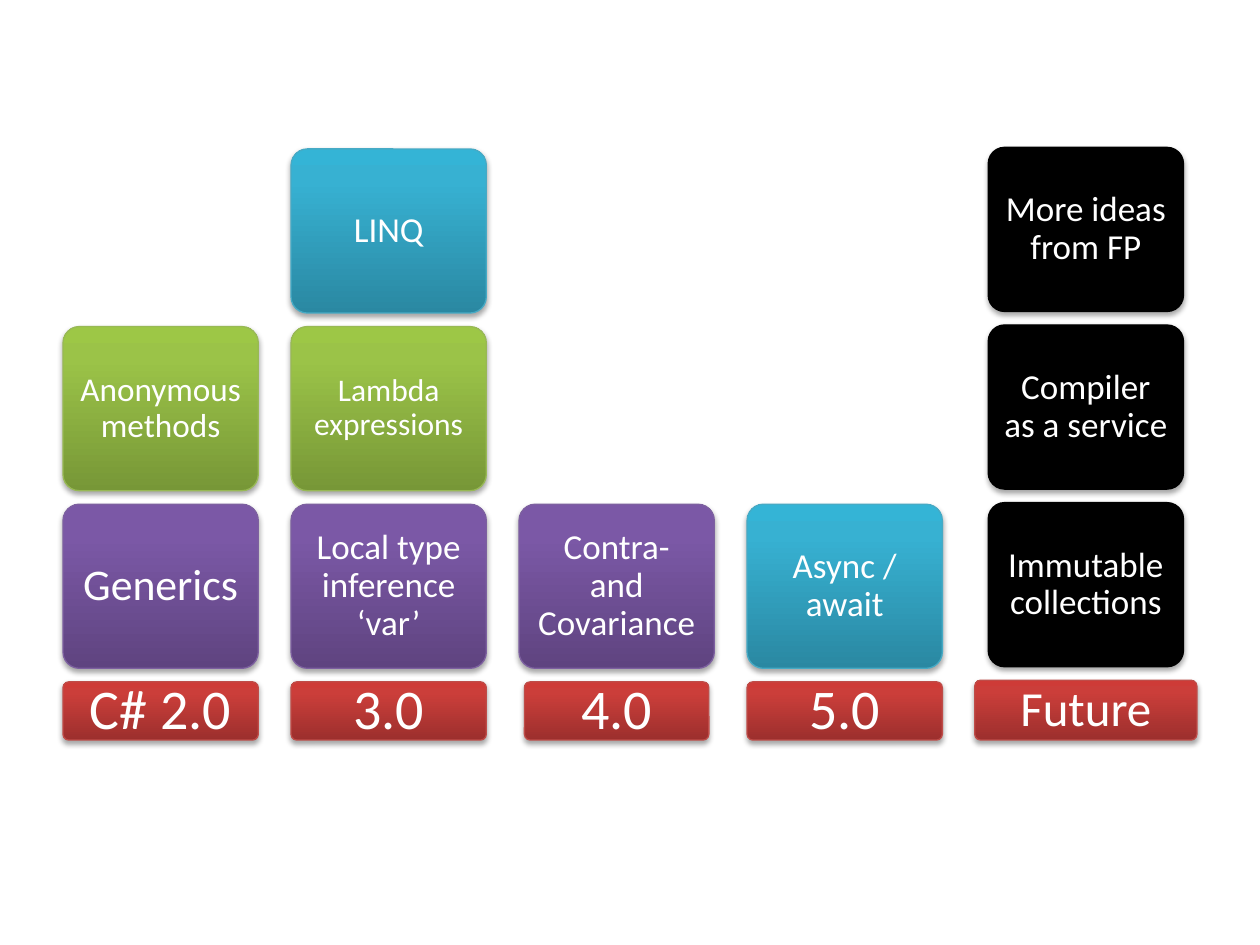
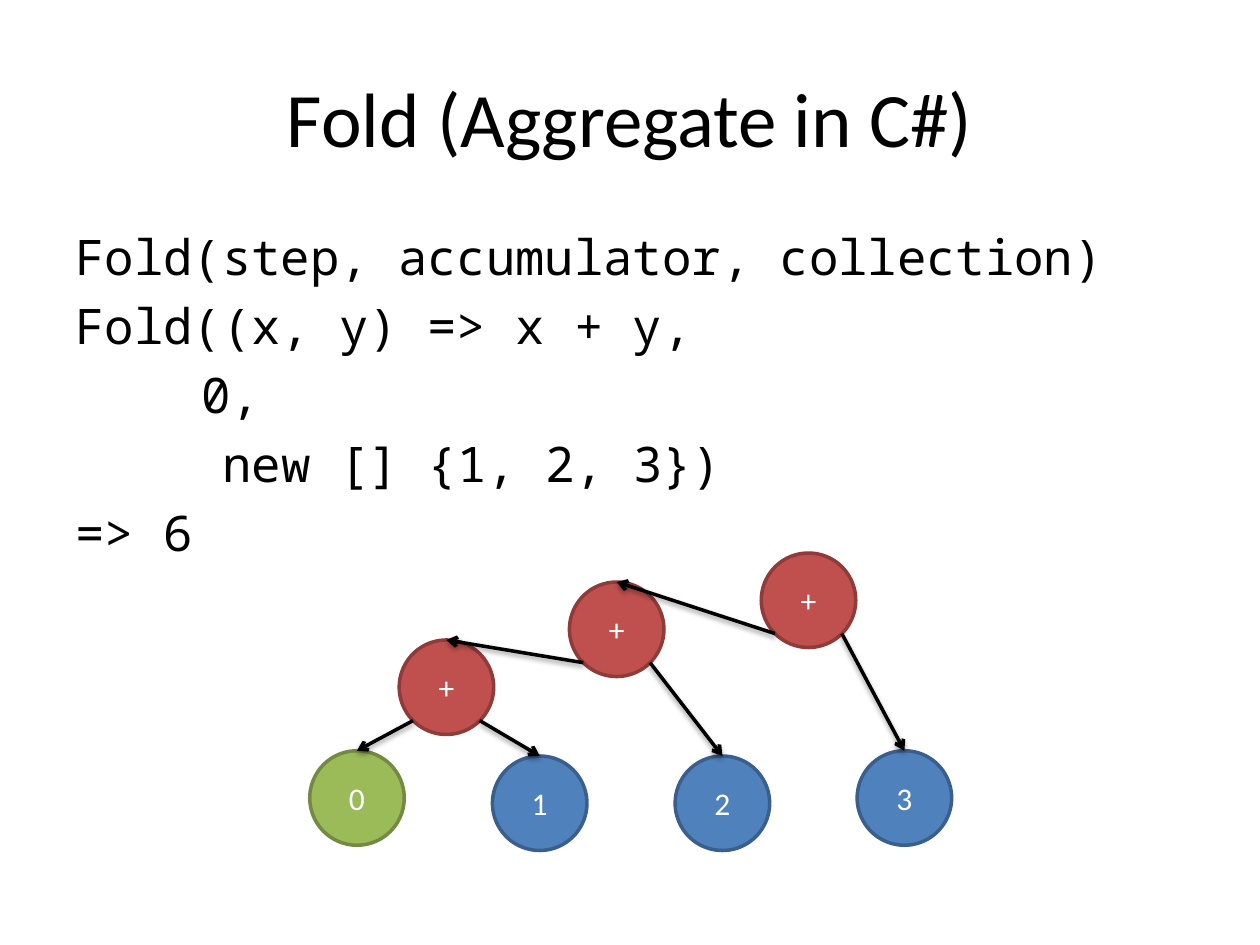
from copy import deepcopy
from math import sqrt

from lxml import etree
from pptx import Presentation
from pptx.dml.color import RGBColor
from pptx.enum.shapes import MSO_CONNECTOR, MSO_SHAPE
from pptx.enum.text import MSO_ANCHOR, PP_ALIGN
from pptx.oxml.ns import qn
from pptx.util import Pt

ROUNDED, OVAL = MSO_SHAPE.ROUNDED_RECTANGLE, MSO_SHAPE.OVAL
STRAIGHT = MSO_CONNECTOR.STRAIGHT
MIDDLE, CENTER, LEFT = MSO_ANCHOR.MIDDLE, PP_ALIGN.CENTER, PP_ALIGN.LEFT
TITLE_ONLY, BLANK = 5, 6
FONT, CODE_FONT = "Calibri", "Noto Sans Mono"

COLORS = {
    "white": "FFFFFF", "black": "000000",
    "blue": "4F81BD", "blue_line": "3A5F8C",
    "green": "9BBB59", "green_line": "738A42",
    "red": "C0504D", "red_line": "8E3B39",
}
# Tile shades: bottom, upper and top of the gradient, then the outline
SHADES = {
    "version": ("9C2F2D", "CB3E3A", "CE3B37", "BF4C48"),
    "types": ("5F4480", "7B58A6", "7C57A8", "7D60A0"),
    "functions": ("779737", "9BC348", "9DC746", "98B955"),
    "queries": ("2A88A2", "37B1D2", "34B4D6", "46AAC5"),
    "future": ("000000", "000000", "000000", "000000"),
}

TILE_W, TILE_H, TILE_PITCH = 111.6, 93.8, 101.5
CORNER = 0.1
NODE = 54


def rgb(hex_color):
    return RGBColor.from_string(hex_color)


def style_text(paragraph, size, color="white", font=FONT, align=CENTER):
    paragraph.alignment = align
    paragraph.font.size = Pt(size)
    paragraph.font.name = font
    paragraph.font.color.rgb = rgb(COLORS[color])


def add_shadow(shape, alpha, blur, distance):
    """Soft black shadow straight below the shape."""
    properties = shape._element.spPr
    for old in properties.findall(qn("a:effectLst")):
        properties.remove(old)
    effects = etree.SubElement(properties, qn("a:effectLst"))
    shadow = etree.SubElement(
        effects, qn("a:outerShdw"), blurRad=str(Pt(blur)),
        dist=str(Pt(distance)), dir="5400000", rotWithShape="0")
    black = etree.SubElement(shadow, qn("a:srgbClr"), val=COLORS["black"])
    etree.SubElement(black, qn("a:alpha"), val=str(alpha * 1000))


def fill_gradient(shape, shades):
    shape.fill.gradient()
    shape.fill.gradient_angle = 90
    stop_list = shape._element.spPr.find(".//" + qn("a:gsLst"))
    stop_list.append(deepcopy(stop_list[-1]))
    for stop, position, shade in zip(shape.fill.gradient_stops, (0, 0.8, 1), shades):
        stop.position = position
        stop.color.rgb = rgb(shade)


# Slide 1: language versions as stacks of features

def add_tile(slide, box, text, size, shade, inset):
    tile = slide.shapes.add_shape(ROUNDED, *map(Pt, box))
    tile.adjustments[0] = CORNER
    *shades, outline = SHADES[shade]
    if shade == "future":
        tile.fill.solid()
        tile.fill.fore_color.rgb = rgb(shades[0])
    else:
        fill_gradient(tile, shades)
    tile.line.color.rgb = rgb(outline)
    tile.line.width = Pt(0.75)
    add_shadow(tile, 35, 3.1, 1.8)

    frame = tile.text_frame
    frame.word_wrap = True
    frame.vertical_anchor = MIDDLE
    # The rounded corners already narrow the text area
    side = inset - 0.29 * CORNER * box[3]
    frame.margin_left = frame.margin_right = Pt(side)
    frame.margin_top = frame.margin_bottom = 0
    label = frame.paragraphs[0]
    label.text = text
    label.line_spacing = 0.9
    style_text(label, size)


def add_version(slide, center, base, version, features):
    """Stack features upwards from a version label; base is (top, width, height, size)."""
    top, width, height, size = base
    add_tile(slide, (center - width / 2, top, width, height), version, size, "version", 10)
    for level, (text, feature_size, shade) in enumerate(features):
        tile_top = top - TILE_PITCH * (level + 1)
        add_tile(slide, (center - TILE_W / 2, tile_top, TILE_W, TILE_H),
                 text, feature_size, shade, 0.44 * feature_size)


def build_versions(prs):
    slide = prs.slides.add_slide(prs.slide_layouts[BLANK])
    label = (389.6, TILE_W, 33.3, 32)
    narrow_label = (389.6, 105.4, 33.3, 32)
    versions = [
        ("C# 2.0", label, [("Generics", 25, "types"),
                           ("Anonymous methods", 19, "functions")]),
        ("3.0", label, [("Local type inference\n‘var’", 20, "types"),
                        ("Lambda expressions", 18, "functions"),
                        ("LINQ", 20, "queries")]),
        ("4.0", narrow_label, [("Contra- and Covariance ", 20, "types")]),
        ("5.0", label, [("Async / await", 20, "queries")]),
    ]
    for column, (version, base, features) in enumerate(versions):
        add_version(slide, 91.8 + 130.3 * column, base, version, features)

    ideas = ("Immutable collections", "Compiler as a service", "More ideas from FP")
    add_version(slide, 620.5, (388.7, 127, 34.2, 28), "Future",
                [(idea, 20, "future") for idea in ideas])


# Slide 2: a fold as code and as a tree

def set_title(slide, box, text):
    title = slide.shapes.title
    title.left, title.top, title.width, title.height = map(Pt, box)
    title.text_frame.vertical_anchor = MIDDLE
    title.text_frame.text = text
    style_text(title.text_frame.paragraphs[0], 44, "black")


def add_code(slide, box, lines):
    frame = slide.shapes.add_textbox(*map(Pt, box)).text_frame
    frame.word_wrap = True
    for number, (text, indent) in enumerate(lines):
        line = frame.paragraphs[0] if number == 0 else frame.add_paragraph()
        line.text = text
        style_text(line, 28, "black", CODE_FONT, LEFT)
        line.line_spacing = Pt(33.7)
        line.space_before = Pt(5.6)
        line._p.get_or_add_pPr().set("marL", str(Pt(indent)))


def add_node(slide, left, top, text, color):
    node = slide.shapes.add_shape(OVAL, Pt(left), Pt(top), Pt(NODE), Pt(NODE))
    node.shadow.inherit = False
    node.fill.solid()
    node.fill.fore_color.rgb = rgb(COLORS[color])
    node.line.color.rgb = rgb(COLORS[color + "_line"])
    node.line.width = Pt(2)
    node.text_frame.vertical_anchor = MIDDLE
    node.text_frame.text = text
    style_text(node.text_frame.paragraphs[0], 18)
    return node


def add_branch(slide, parent, child, side):
    """Arrow from the lower left (-1) or right (1) of parent to the top of child."""
    radius = parent.width / 2
    reach = radius / sqrt(2)
    start_x = int(parent.left + radius + side * reach)
    start_y = int(parent.top + radius + reach)
    branch = slide.shapes.add_connector(STRAIGHT, start_x, start_y, child.left, child.top)
    branch.end_connect(child, 0)
    branch.line.color.rgb = rgb(COLORS["black"])
    branch.line.width = Pt(2)
    etree.SubElement(branch.line._get_or_add_ln(), qn("a:tailEnd"), type="arrow")
    add_shadow(branch, 38, 3.1, 1.6)


def add_fold_tree(slide, left, top):
    """Each sum takes the result so far on its left and the next item on its right."""
    items = [(104.4, 116, "1"), (208.8, 116, "2"), (312.8, 113, "3")]
    sums = [(51.1, 49.7), (148.4, 16.6), (258, 0)]
    item_nodes = [add_node(slide, left + x, top + y, text, "blue") for x, y, text in items]
    result = add_node(slide, left, top + 113, "0", "green")
    sum_nodes = [add_node(slide, left + x, top + y, "+", "red") for x, y in sums]
    for sum_node, item_node in zip(sum_nodes, item_nodes):
        add_branch(slide, sum_node, result, -1)
        add_branch(slide, sum_node, item_node, 1)
        result = sum_node


def build_fold(prs):
    slide = prs.slides.add_slide(prs.slide_layouts[TITLE_ONLY])
    set_title(slide, (36, 21.6, 648, 90), "Fold (Aggregate in C#)")
    add_code(slide, (36, 126, 648, 206.6), [
        ("Fold(step, accumulator, collection)", 0),
        ("Fold((x, y) => x + y,", 0),
        ("0,", 72),
        ("new [] {1, 2, 3})", 84),
        ("=> 6", 0),
    ])
    add_fold_tree(slide, 177, 316)


def main():
    prs = Presentation()
    prs.slide_width, prs.slide_height = Pt(720), Pt(540)
    build_versions(prs)
    build_fold(prs)
    prs.save("out.pptx")


if __name__ == "__main__":
    main()
